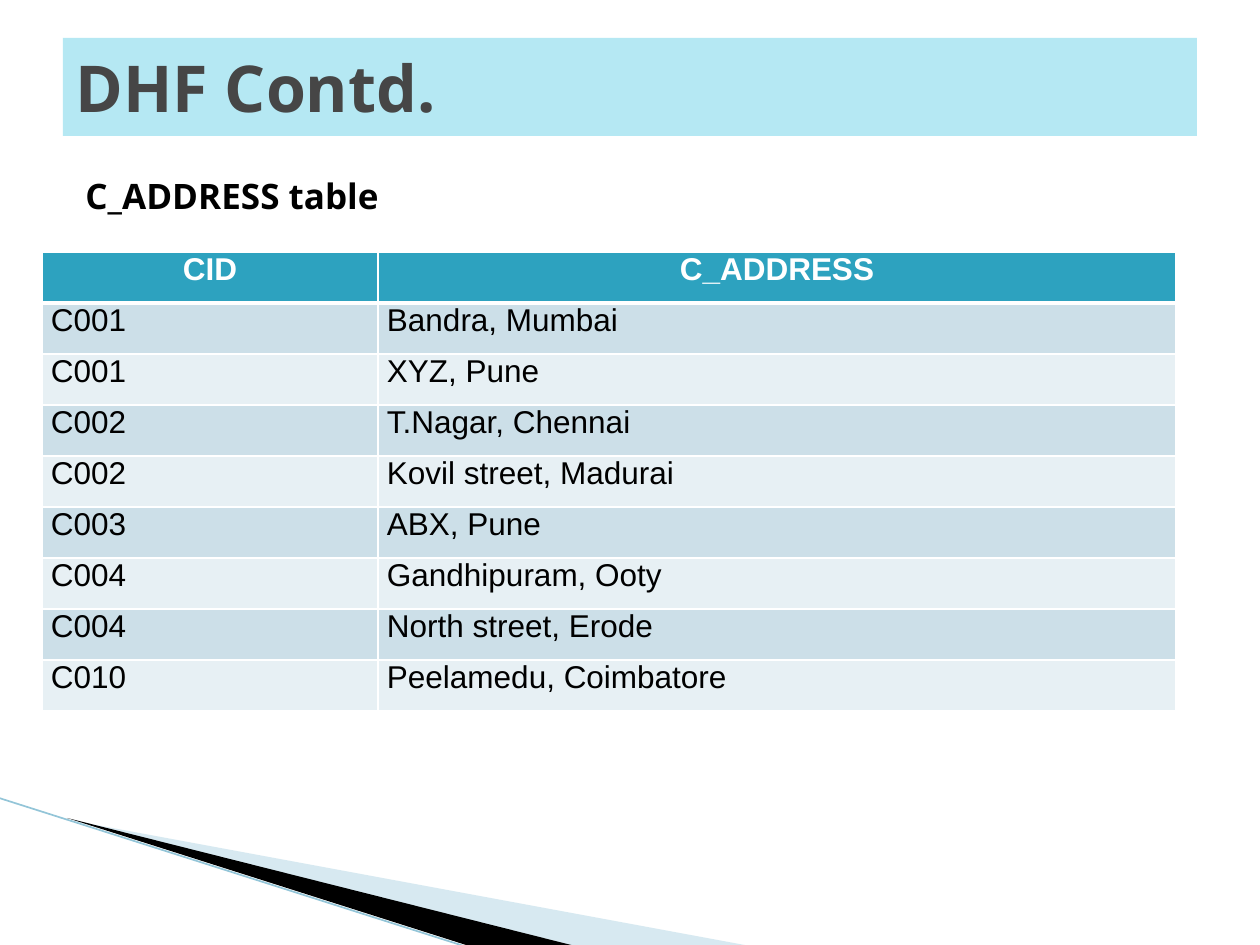
from dataclasses import dataclass

import pptx
import pptx.dml.color
import pptx.enum.shapes
import pptx.enum.text
import pptx.oxml
import pptx.oxml.ns
import pptx.util
from lxml import etree

RGBColor = pptx.dml.color.RGBColor
ALIGN = pptx.enum.text.PP_ALIGN
ANCHOR = pptx.enum.text.MSO_ANCHOR

EMU_PER_PX = 914400 / 126

WHITE = RGBColor(0xFF, 0xFF, 0xFF)
BLACK = RGBColor(0x00, 0x00, 0x00)
TITLE_GREY = RGBColor(0x46, 0x46, 0x46)
TITLE_BLUE = RGBColor(0xB5, 0xE8, 0xF3)
WEDGE_BLUE = RGBColor(0x9C, 0xCA, 0xDC)
EDGE_BLUE = RGBColor(0x93, 0xC5, 0xD8)
HEADER_TEAL = RGBColor(0x2D, 0xA2, 0xBF)
BANDS = (RGBColor(0xCC, 0xDF, 0xE8), RGBColor(0xE7, 0xF0, 0xF4))

COLUMN_WIDTHS = (336, 798)
ROW_HEIGHT = 51
CELL_MARGIN = 9
ROWS = (
    ("CID", "C_ADDRESS"),
    ("C001", "Bandra, Mumbai"),
    ("C001", "XYZ, Pune"),
    ("C002", "T.Nagar, Chennai"),
    ("C002", "Kovil street, Madurai"),
    ("C003", "ABX, Pune"),
    ("C004", "Gandhipuram, Ooty"),
    ("C004", "North street, Erode"),
    ("C010", "Peelamedu, Coimbatore"),
)


@dataclass(frozen=True)
class TextStyle:
    font: str
    size: float
    color: RGBColor
    bold: bool
    align: ALIGN = ALIGN.LEFT


@dataclass(frozen=True)
class Wedge:
    points: tuple
    color: RGBColor
    opacity: int = 100


TITLE = TextStyle("Noto Sans", 36.9, TITLE_GREY, True)
CAPTION = TextStyle("Noto Sans", 20, BLACK, True)
HEADER = TextStyle("Arial", 18, WHITE, True, ALIGN.CENTER)
BODY = TextStyle("Arial", 18, BLACK, False, ALIGN.JUSTIFY)

WEDGES = (
    Wedge(((69, 820), (750, 946), (575, 946)), WEDGE_BLUE, 40),
    Wedge(((67, 818), (575, 946), (469, 946)), BLACK),
)


def px(length: int) -> pptx.util.Emu:
    return pptx.util.Emu(round(length * EMU_PER_PX))


def write(text_frame, text: str, style: TextStyle) -> None:
    paragraph = text_frame.paragraphs[0]
    paragraph.alignment = style.align
    run = paragraph.add_run()
    run.text = text
    values = {
        "name": style.font,
        "size": pptx.util.Pt(style.size),
        "bold": style.bold,
    }
    for name, value in values.items():
        setattr(run.font, name, value)
    run.font.color.rgb = style.color


def draw_wedge(slide, wedge: Wedge) -> None:
    start, *others = wedge.points
    builder = slide.shapes.build_freeform(*start, scale=EMU_PER_PX)
    builder.add_line_segments(others, close=True)
    shape = builder.convert_to_shape()
    shape.shadow.inherit = False
    shape.line.fill.background()
    shape.fill.solid()
    shape.fill.fore_color.rgb = wedge.color
    if wedge.opacity < 100:
        color = shape.fill._xPr.find(".//" + pptx.oxml.ns.qn("a:srgbClr"))
        alpha = etree.SubElement(color, pptx.oxml.ns.qn("a:alpha"))
        alpha.set("val", str(wedge.opacity * 1000))


def draw_edge(slide, start: tuple, end: tuple) -> None:
    connector = slide.shapes.add_connector(
        pptx.enum.shapes.MSO_CONNECTOR.STRAIGHT, *map(px, start + end))
    connector.line.color.rgb = EDGE_BLUE
    connector.line.width = pptx.util.Pt(0.95)
    etree.SubElement(connector._element.spPr, pptx.oxml.ns.qn("a:effectLst"))


def set_borders(cell, widths: dict) -> None:
    properties = cell._tc.get_or_add_tcPr()
    for index, (side, points) in enumerate(widths.items()):
        border = pptx.oxml.parse_xml(
            f'<a:ln{side} {pptx.oxml.ns.nsdecls("a")} w="{pptx.util.Pt(points)}">'
            f'<a:solidFill><a:srgbClr val="{WHITE}"/></a:solidFill></a:ln{side}>')
        properties.insert(index, border)


def draw_table(slide, left: int, top: int) -> None:
    table = slide.shapes.add_table(
        len(ROWS), len(COLUMN_WIDTHS), px(left), px(top),
        px(sum(COLUMN_WIDTHS)), px(ROW_HEIGHT * len(ROWS))).table
    for column, width in zip(table.columns, COLUMN_WIDTHS):
        column.width = px(width)
    cell_format = {
        "margin_left": px(CELL_MARGIN), "margin_right": px(CELL_MARGIN),
        "margin_top": 0, "margin_bottom": 0,
        "vertical_anchor": ANCHOR.TOP,
    }
    for row_index, texts in enumerate(ROWS):
        table.rows[row_index].height = px(ROW_HEIGHT)
        is_header = row_index == 0
        fill_color = HEADER_TEAL if is_header else BANDS[(row_index - 1) % 2]
        top_width = 3 if row_index == 1 else 1
        bottom_width = 3 if is_header else 1
        for column_index, text in enumerate(texts):
            cell = table.cell(row_index, column_index)
            for name, value in cell_format.items():
                setattr(cell, name, value)
            cell.fill.solid()
            cell.fill.fore_color.rgb = fill_color
            set_borders(cell, {"L": 1, "R": 1, "T": top_width, "B": bottom_width})
            write(cell.text_frame, text, HEADER if is_header else BODY)


def main() -> None:
    presentation = pptx.Presentation()
    presentation.slide_width = px(1260)
    presentation.slide_height = px(945)
    slide = presentation.slides.add_slide(presentation.slide_layouts[6])

    # Corner decoration
    for wedge in WEDGES:
        draw_wedge(slide, wedge)
    draw_edge(slide, (-1, 798), (467, 947))

    # Title bar
    title = slide.shapes.add_shape(
        pptx.enum.shapes.MSO_SHAPE.RECTANGLE, px(63), px(38), px(1134), px(98))
    title.shadow.inherit = False
    title.fill.solid()
    title.fill.fore_color.rgb = TITLE_BLUE
    title.line.fill.background()
    title.text_frame.vertical_anchor = ANCHOR.MIDDLE
    title.text_frame.word_wrap = True
    write(title.text_frame, "DHF Contd.", TITLE)

    # Table caption
    caption = slide.shapes.add_textbox(px(73), px(168), px(320), px(55))
    caption.text_frame.word_wrap = False
    write(caption.text_frame, "C_ADDRESS table", CAPTION)

    # Address table
    draw_table(slide, 42, 252)

    presentation.save("out.pptx")


if __name__ == "__main__":
    main()
